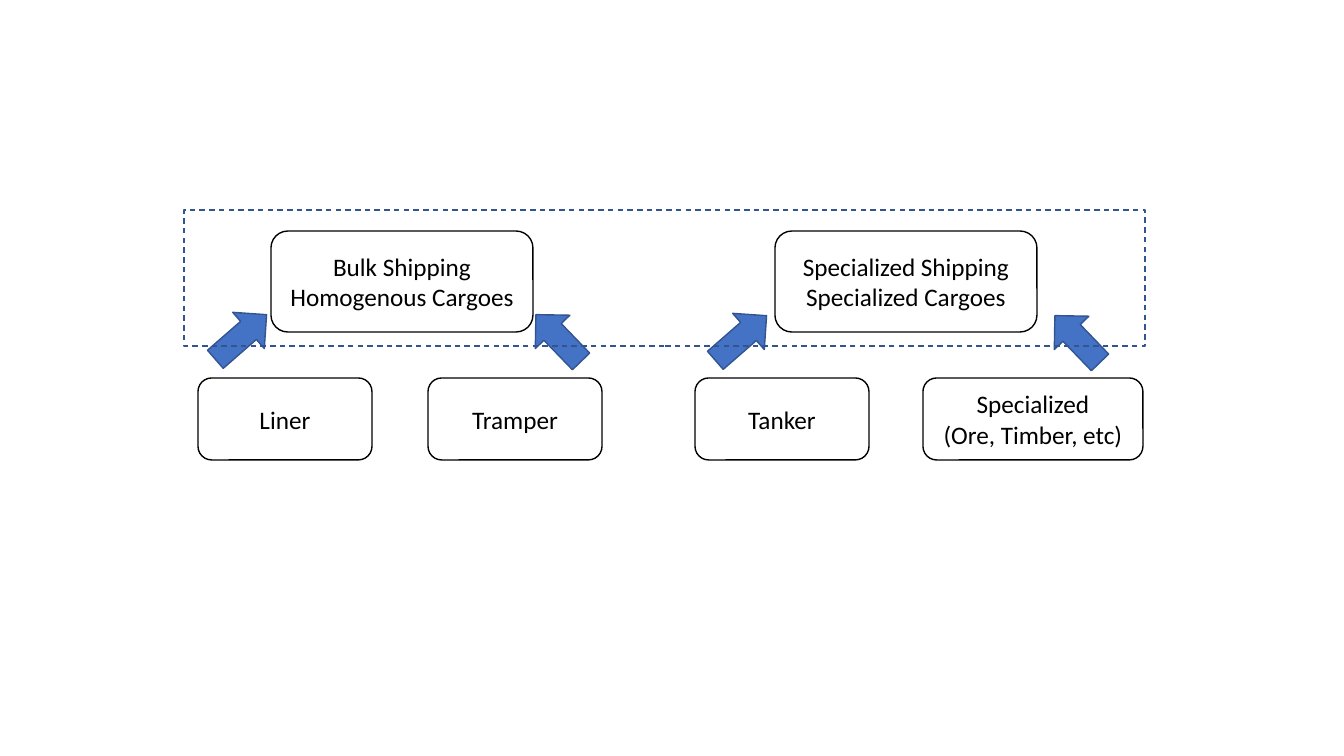
import pptx
import pptx.util
import pptx.dml.color
import pptx.enum.dml
import pptx.enum.shapes
import pptx.enum.text

RGBColor = pptx.dml.color.RGBColor
SHAPE = pptx.enum.shapes.MSO_SHAPE
WHITE = RGBColor(0xFF, 0xFF, 0xFF)
BLACK = RGBColor(0x00, 0x00, 0x00)
BLUE = RGBColor(0x44, 0x72, 0xC4)
DARK_BLUE = RGBColor(0x32, 0x54, 0x91)
EMU_PER_PX = 914400 / 100.8


def px(n):
    return pptx.util.Emu(round(n * EMU_PER_PX))


def write(tf, text, size=18, font="Calibri", color=BLACK,
          align=pptx.enum.text.PP_ALIGN.CENTER):
    tf.word_wrap = True
    tf.vertical_anchor = pptx.enum.text.MSO_ANCHOR.MIDDLE
    for i, line in enumerate(text.split("\n")):
        p = tf.add_paragraph() if i else tf.paragraphs[0]
        p.alignment = align
        r = p.add_run()
        r.text = line
        r.font.size = pptx.util.Pt(size)
        r.font.name = font
        r.font.color.rgb = color


class Diagram:
    def __init__(self, slide):
        self.s = slide
        self.line_width = pptx.util.Pt(1)

    def shape(self, kind, x, y, w, h, fill, line):
        sp = self.s.shapes.add_shape(kind, px(x), px(y), px(w), px(h))
        sp.shadow.inherit = False
        if fill is None:
            sp.fill.background()
        else:
            sp.fill.solid()
            sp.fill.fore_color.rgb = fill
        sp.line.color.rgb = line
        sp.line.width = self.line_width
        return sp

    def box(self, text, x, y, w, h):
        sp = self.shape(SHAPE.ROUNDED_RECTANGLE, x, y, w, h, WHITE, BLACK)
        write(sp.text_frame, text)

    def arrow(self, x, y, w, angle):
        sp = self.shape(SHAPE.RIGHT_ARROW, x, y, w, 48, BLUE, DARK_BLUE)
        sp.rotation = angle

    def dashed_frame(self, x, y, w, h):
        sp = self.shape(SHAPE.RECTANGLE, x, y, w, h, None, DARK_BLUE)
        sp.line.dash_style = pptx.enum.dml.MSO_LINE.DASH


def main():
    prs = pptx.Presentation()
    prs.slide_width, prs.slide_height = px(1344), px(756)
    d = Diagram(prs.slides.add_slide(prs.slide_layouts[6]))

    for text, x in (("Bulk Shipping\nHomogenous Cargoes", 271),
                    ("Specialized Shipping\nSpecialized Cargoes", 775)):
        d.box(text, x, 231, 262, 101)

    for text, x, w in (("Liner", 198, 174), ("Tramper", 428, 174),
                       ("Tanker", 695, 174),
                       ("Specialized\n(Ore, Timber, etc)", 923, 220)):
        d.box(text, x, 378, w, 82)

    for x, y in ((207, 313), (707, 314)):
        d.arrow(x, y, 68, 318.9)
    for x, y in ((526, 314), (1045, 315)):
        d.arrow(x, y, 65, 226)

    d.dashed_frame(184, 210, 961, 136)
    prs.save("out.pptx")


if __name__ == "__main__":
    main()
